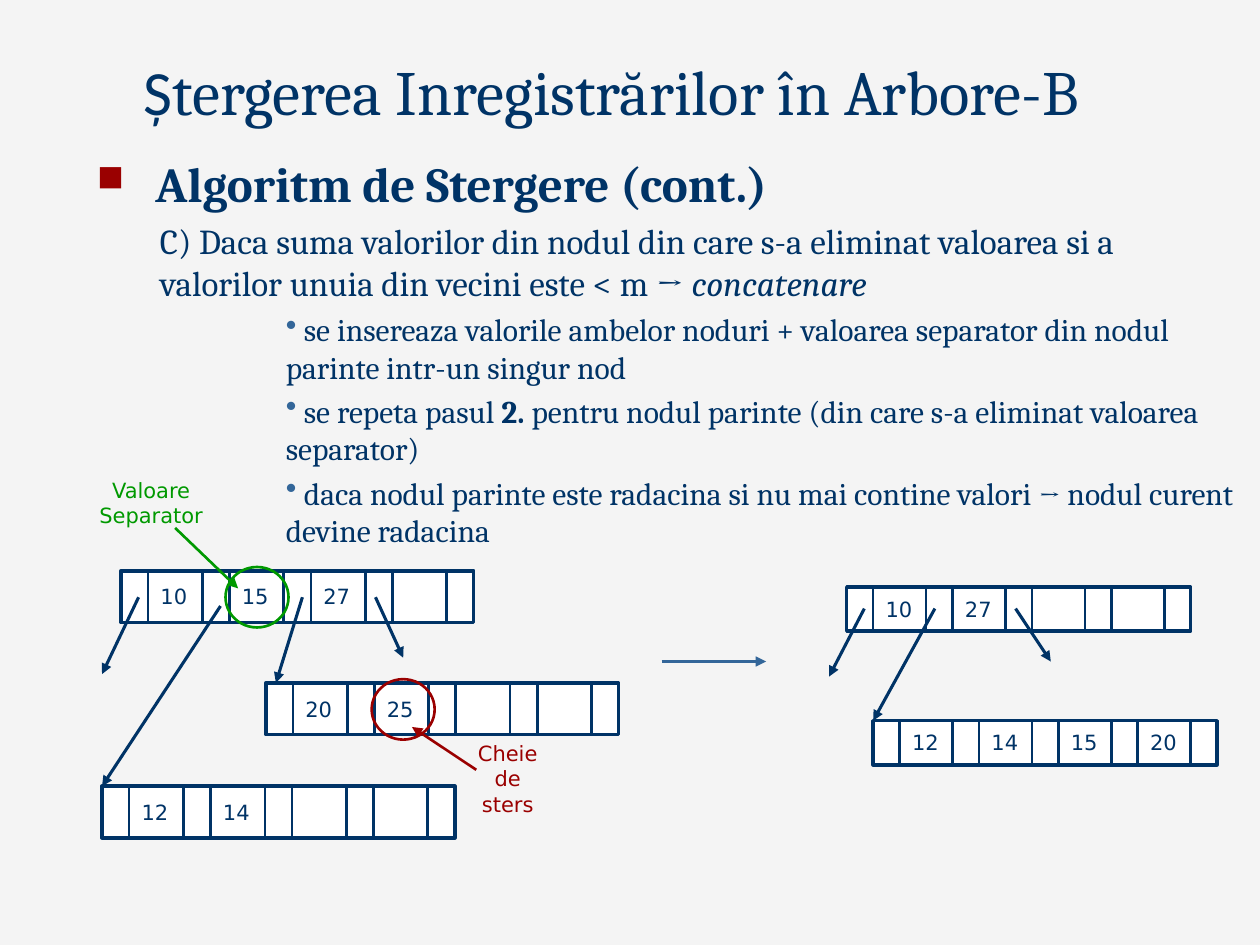
from dataclasses import dataclass
from itertools import accumulate

from lxml import etree
from pptx import Presentation
from pptx.dml.color import RGBColor
from pptx.enum.shapes import MSO_CONNECTOR, MSO_SHAPE
from pptx.enum.text import MSO_ANCHOR, MSO_AUTO_SIZE, PP_ALIGN
from pptx.oxml.ns import qn
from pptx.util import Inches, Pt

RECTANGLE, ELLIPSE = MSO_SHAPE.RECTANGLE, MSO_SHAPE.OVAL
STRAIGHT = MSO_CONNECTOR.STRAIGHT
TOP, BOTTOM = MSO_ANCHOR.TOP, MSO_ANCHOR.BOTTOM
LEFT, CENTER = PP_ALIGN.LEFT, PP_ALIGN.CENTER
GROW, FIXED = MSO_AUTO_SIZE.SHAPE_TO_FIT_TEXT, MSO_AUTO_SIZE.NONE

COLORS = {"page": "F4F4F4", "navy": "003366", "blue": "336699",
          "red": "9A0000", "green": "009900", "white": "FFFFFF"}
WIDTH, HEIGHT = Inches(10), Inches(7.5)
COLUMNS = 100
UNIT = WIDTH / COLUMNS
SERIF, SANS = "Cambria", "DejaVu Sans"
NODE_PATTERN = (1, 2, 1, 2, 1, 2, 1, 2, 1)
KEY_HEIGHT = 3


@dataclass
class Span:
    text: str
    size: float
    name: str = SERIF
    bold: bool = False
    italic: bool = False
    color: str = "navy"


@dataclass
class Paragraph:
    spans: list[Span]
    align: PP_ALIGN = LEFT
    level: int = 0
    margin: float = 0
    indent: float = 0
    before: float = 0
    bullet: str = ""
    bullet_color: str = "blue"
    bullet_size: int = 100


@dataclass
class Node:
    left: float
    top: float
    width: float
    height: float
    keys: tuple[int, ...]


@dataclass
class Arrow:
    start: tuple[float, float]
    end: tuple[float, float]
    color: str = "navy"
    weight: float = 1.75


@dataclass
class Ring:
    left: float
    top: float
    color: str


@dataclass
class Label:
    area: tuple[float, float, float, float]
    lines: tuple[str, ...]
    color: str


def grid(*cells: float) -> list[int]:
    return [round(cell * UNIT) for cell in cells]


def rgb(color: str) -> RGBColor:
    return RGBColor.from_string(COLORS[color])


def add_bullet(para, spec: Paragraph) -> None:
    properties = para._p.get_or_add_pPr()
    holder = etree.SubElement(properties, qn("a:buClr"))
    etree.SubElement(holder, qn("a:srgbClr"), val=COLORS[spec.bullet_color])
    etree.SubElement(properties, qn("a:buSzPct"), val=str(spec.bullet_size * 1000))
    etree.SubElement(properties, qn("a:buChar"), char=spec.bullet)


def add_span(para, spec: Span) -> None:
    for number, line in enumerate(spec.text.split("\n")):
        if number:
            para.add_line_break()
        span = para.add_run()
        span.text = line
        formats = {"size": Pt(spec.size), "name": spec.name,
                   "bold": spec.bold, "italic": spec.italic}
        for key, value in formats.items():
            setattr(span.font, key, value)
        span.font.color.rgb = rgb(spec.color)


def add_text(page, area: tuple[float, ...], paragraphs: list[Paragraph],
             anchor: MSO_ANCHOR = TOP, auto_size: MSO_AUTO_SIZE = GROW) -> None:
    frame = page.shapes.add_textbox(*grid(*area)).text_frame
    formats = {"word_wrap": True, "auto_size": auto_size, "vertical_anchor": anchor}
    for key, value in formats.items():
        setattr(frame, key, value)
    for number, spec in enumerate(paragraphs):
        para = frame.add_paragraph() if number else frame.paragraphs[0]
        if spec.bullet:
            add_bullet(para, spec)
        formats = {"alignment": spec.align, "level": spec.level,
                   "space_before": Pt(spec.before)}
        for key, value in formats.items():
            setattr(para, key, value)
        margin, indent = grid(spec.margin, spec.indent)
        para._p.get_or_add_pPr().set("marL", str(margin))
        para._p.get_or_add_pPr().set("indent", str(indent))
        for span in spec.spans:
            add_span(para, span)


def add_outline(page, kind: MSO_SHAPE, area: tuple[float, ...],
                color: str, weight: float, fill: str = "") -> None:
    shape = page.shapes.add_shape(kind, *grid(*area))
    shape.shadow.inherit = False
    if fill:
        shape.fill.solid()
        shape.fill.fore_color.rgb = rgb(fill)
    else:
        shape.fill.background()
    shape.line.color.rgb = rgb(color)
    shape.line.width = Pt(weight)


def add_line(page, line: Arrow, head: bool = True) -> None:
    connector = page.shapes.add_connector(STRAIGHT, *grid(*line.start, *line.end))
    connector.line.color.rgb = rgb(line.color)
    connector.line.width = Pt(line.weight)
    if head:
        etree.SubElement(connector.line._get_or_add_ln(), qn("a:tailEnd"), type="triangle")
    etree.SubElement(connector._element.spPr, qn("a:effectLst"))


def add_node(page, node: Node) -> None:
    column = node.width / sum(NODE_PATTERN)
    add_outline(page, RECTANGLE, (node.left, node.top, node.width, node.height),
                "navy", 2, "white")
    edges = [node.left + column * step for step in accumulate(NODE_PATTERN)][:-1]
    for edge in edges:
        add_line(page, Arrow((edge, node.top), (edge, node.top + node.height),
                             weight=1.5), head=False)
    key_top = node.top + (node.height - KEY_HEIGHT) / 2
    for key, edge in zip(node.keys, edges[::2]):
        add_text(page, (edge, key_top, 2 * column, KEY_HEIGHT),
                 [Paragraph([Span(str(key), 12, SANS)])])


def bullet_item(*spans: Span) -> Paragraph:
    return Paragraph(list(spans), level=3, margin=15, before=3.6, bullet="•")


TITLE = Paragraph([Span("Ș", 36, "Calibri"),
                   Span("tergerea Inregistrărilor în Arbore-B", 36)], CENTER)
BODY = [
    Paragraph([Span(" ", 28), Span("Algoritm de Stergere (cont.)", 28, bold=True)],
              margin=3.8, indent=-3.8, bullet="■", bullet_color="red", bullet_size=75),
    Paragraph([Span("C) Daca suma valorilor din nodul din care s-a eliminat valoarea "
                    "si a valorilor unuia din vecini este < m → ", 20),
               Span("concatenare", 20, italic=True)], level=1, margin=5, before=4),
    bullet_item(Span(" se insereaza valorile ambelor noduri + valoarea separator "
                     "din nodul parinte intr-un singur nod", 18)),
    bullet_item(Span(" se repeta pasul ", 18), Span("2. ", 18, bold=True),
                Span("pentru nodul parinte (din care s-a eliminat valoarea separator)", 18)),
    bullet_item(Span(" daca nodul parinte este radacina si nu mai contine valori ", 18),
                Span("→", 16), Span(" nodul curent devine radacina", 18)),
]
NODES = [
    Node(9.6, 45.3, 28, 4.1, (10, 15, 27)),
    Node(8.1, 62.4, 28, 4.1, (12, 14)),
    Node(21.1, 54.2, 28, 4.1, (20, 25)),
    Node(67.2, 46.6, 27.3, 3.5, (10, 27)),
    Node(69.3, 57.2, 27.3, 3.5, (12, 14, 15, 20)),
]
ARROWS = [
    Arrow((11, 47.4), (8.1, 53.5)),
    Arrow((17.5, 48.1), (8.1, 62.4)),
    Arrow((24, 47.4), (21.9, 54.2)),
    Arrow((29.8, 47.4), (32, 52.2)),
    Arrow((68.6, 48.3), (65.8, 53.7)),
    Arrow((74.2, 48.3), (69.3, 57.2)),
    Arrow((80.6, 48.3), (83.4, 52.5)),
    Arrow((37.8, 61.1), (32.7, 57.7), "red", 1.5),
    Arrow((13.9, 41.9), (18.9, 46.7), "green", 1.5),
    Arrow((52.5, 52.5), (60.8, 52.5), "blue", 1.5),
]
RINGS = [Ring(29.5, 53.9, "red"), Ring(17.9, 45, "green")]
LABELS = [
    Label((35.6, 58.3, 9.4, 7.1), ("Cheie", "de", "sters"), "red"),
    Label((5.8, 37.4, 12.4, 5.1), ("Valoare", "Separator"), "green"),
]


def main() -> None:
    deck = Presentation()
    deck.slide_width, deck.slide_height = WIDTH, HEIGHT
    page = deck.slides.add_slide(deck.slide_layouts[6])
    page.background.fill.solid()
    page.background.fill.fore_color.rgb = rgb("page")
    add_text(page, (6.7, 11.7, 92.5, 21.7), BODY, auto_size=FIXED)
    for node in NODES:
        add_node(page, node)
    for arrow in ARROWS:
        add_line(page, arrow)
    for ring in RINGS:
        add_outline(page, ELLIPSE, (ring.left, ring.top, 5, 4.8), ring.color, 1.5)
    for label in LABELS:
        span = Span("\n".join(label.lines), 12, SANS, color=label.color)
        add_text(page, label.area, [Paragraph([span], CENTER)])
    add_text(page, (6.5, 3.6, 84, 7.1), [TITLE], BOTTOM)
    deck.save("out.pptx")


if __name__ == "__main__":
    main()
